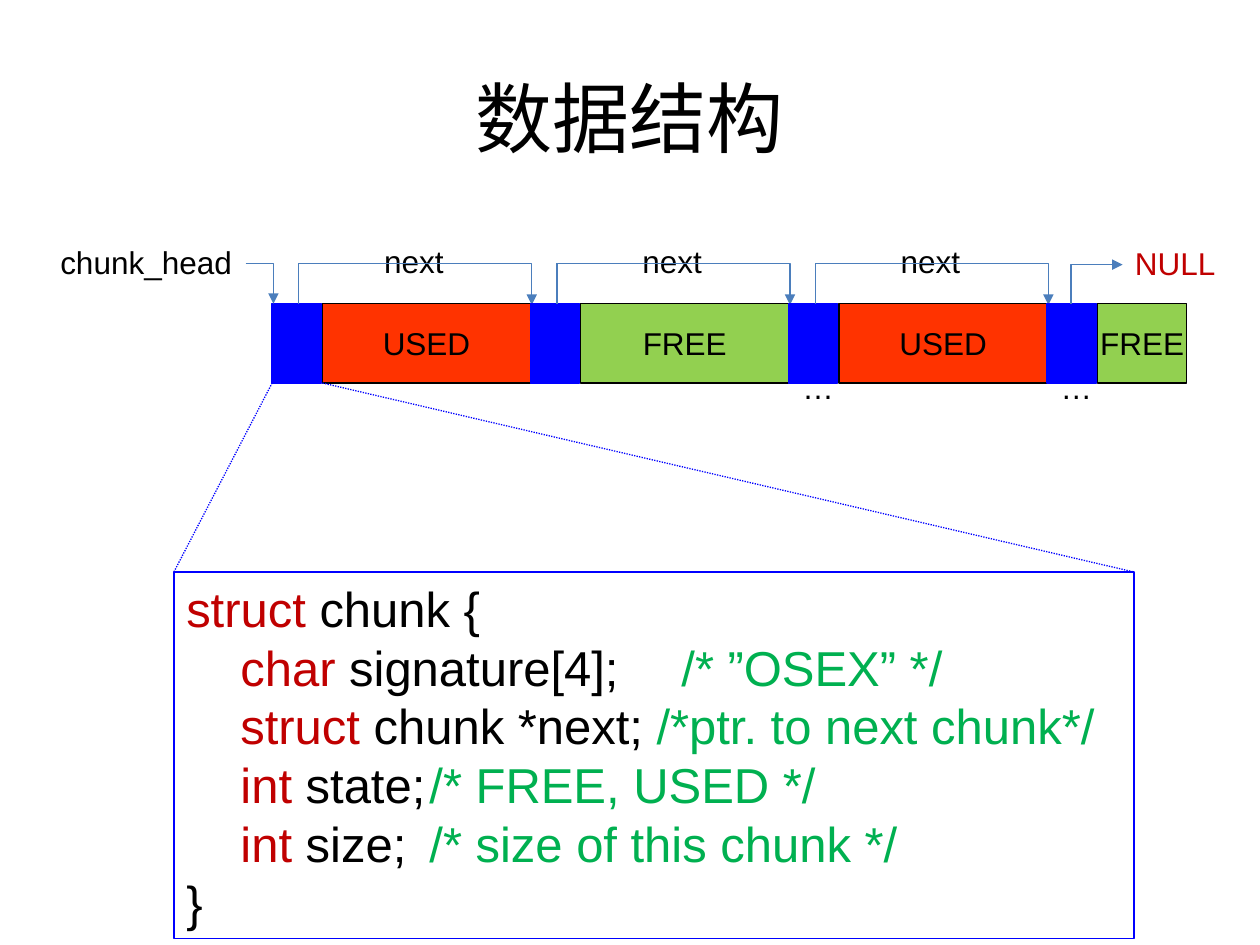
import pptx
import pptx.util
import pptx.dml.color
import pptx.enum.shapes
import pptx.enum.text
import pptx.enum.dml
import pptx.oxml.ns
import lxml.etree

RGB = pptx.dml.color.RGBColor
BLACK, WHITE = RGB(0, 0, 0), RGB(255, 255, 255)
BLUE, STEEL = RGB(0, 0, 255), RGB(0x4B, 0x7E, 0xBC)
ORANGE, LIME = RGB(0xFF, 0x33, 0), RGB(0x92, 0xD0, 0x50)
RED, GREEN = RGB(0xC0, 0, 0), RGB(0, 0xB0, 0x50)
FILLS = {"USED": ORANGE, "FREE": LIME}
CHUNKS = [("USED", 1.65), ("FREE", 1.65), ("USED", 1.65), ("FREE", 0.71)]
HEADER, PITCH = 0.39, 2.05
ALIGN = pptx.enum.text.PP_ALIGN
ANCHOR = pptx.enum.text.MSO_ANCHOR
LINK = pptx.enum.shapes.MSO_CONNECTOR
CODE = [
    (0, [("struct ", RED), ("chunk {", BLACK)]),
    (0.43, [("char", RED), (" signature[4];\t", BLACK), ("/* ”OSEX” */", GREEN)]),
    (0.43, [("struct ", RED), ("chunk *next; ", BLACK), ("/*ptr. to next chunk*/", GREEN)]),
    (0.43, [("int ", RED), ("state;\t", BLACK), ("/* FREE, USED */", GREEN)]),
    (0.43, [("int ", RED), ("size;\t", BLACK), ("/* size of this chunk */", GREEN)]),
    (0, [("}", BLACK)]),
]
COMMENT_STOPS = {1: 3.64, 3: 3.62, 4: 3.69}


def inches(*values):
    """Turn numbers into slide lengths."""
    return [pptx.util.Inches(v) for v in values]


def sub(parent, tag, **attrs):
    """Append a drawing element with its attributes."""
    return lxml.etree.SubElement(parent, pptx.oxml.ns.qn(tag), attrs)


def add_run(p, text, size=18, color=BLACK, font="Arial"):
    """Add a formatted run to a paragraph."""
    r = p.add_run()
    r.text = text
    r.font.size = pptx.util.Pt(size)
    r.font.name = font
    r.font.color.rgb = color


def write(sp, text, align=ALIGN.LEFT, anchor=ANCHOR.TOP, wrap=False, **fmt):
    """Write one paragraph into a shape."""
    tf = sp.text_frame
    tf.word_wrap = wrap
    tf.vertical_anchor = anchor
    p = tf.paragraphs[0]
    p.alignment = align
    add_run(p, text, **fmt)


def add_label(s, text, box, **fmt):
    """Place a text box."""
    write(s.shapes.add_textbox(*inches(*box)), text, **fmt)


def add_box(s, box, fill=None, line=BLACK):
    """Draw an outlined rectangle, filled when a colour is given."""
    sp = s.shapes.add_shape(pptx.enum.shapes.MSO_SHAPE.RECTANGLE, *inches(*box))
    sp.shadow.inherit = False
    if fill is None:
        sp.fill.background()
    else:
        sp.fill.solid()
        sp.fill.fore_color.rgb = fill
    sp.line.color.rgb = line
    sp.line.width = pptx.util.Pt(0.75)
    return sp


def add_link(s, start, end, color=STEEL, bent=False, arrow=None, dotted=False):
    """Connect two points; a bent link runs across, then vertically."""
    c = s.shapes.add_connector(LINK.ELBOW if bent else LINK.STRAIGHT, *inches(*start, *end))
    c.line.color.rgb = color
    c.line.width = pptx.util.Pt(0.75)
    if dotted:
        c.line.dash_style = pptx.enum.dml.MSO_LINE.ROUND_DOT
    pr = c._element.spPr
    if bent:
        pr.find(pptx.oxml.ns.qn("a:prstGeom")).set("prst", "bentConnector2")
    if arrow:
        sub(c.line._get_or_add_ln(), arrow, type="triangle")
    sub(pr, "a:effectLst")


def add_chunks(s, x, y, h):
    """Draw the chunk row with its header links, from its top left corner."""
    top = y - 0.32
    for i, (state, width) in enumerate(CHUNKS):
        left = x + i * PITCH
        add_box(s, (left, y, HEADER, h), BLUE, BLUE)
        sp = add_box(s, (left + HEADER + 0.01, y, width, h), FILLS[state])
        write(sp, state, align=ALIGN.CENTER, anchor=ANCHOR.MIDDLE)
        if i < len(CHUNKS) - 1:
            mid = left + 0.21
            add_label(s, "next", (left + 0.79, top - 0.22, 0.67, 0.4))
            add_link(s, (mid, y), (mid, top))
            add_link(s, (mid, top), (left + PITCH + 0.01, y + 0.01), bent=True, arrow="a:tailEnd")
        if i >= 2:
            add_label(s, "…", (left + 0.01, y + 0.46, 0.45, 0.4))
    add_label(s, "chunk_head", (x - 1.78, top - 0.21, 1.58, 0.4))
    add_link(s, (x - 0.21, top), (x + 0.01, y), bent=True, arrow="a:tailEnd")
    add_label(s, "NULL", (left + 0.6, top - 0.2, 0.84, 0.4), color=RED)
    add_link(s, (left + 0.6, top + 0.01), (left + 0.19, y), bent=True, arrow="a:headEnd")


def add_code(s, x, y, w, h):
    """Write the struct definition in its frame."""
    tf = add_box(s, (x, y, w, h), line=BLUE).text_frame
    tf.word_wrap = False
    tf.vertical_anchor = ANCHOR.TOP
    for i, (indent, parts) in enumerate(CODE):
        p = tf.paragraphs[0] if i == 0 else tf.add_paragraph()
        p.alignment = ALIGN.LEFT
        ppr = p._p.get_or_add_pPr()
        ppr.set("marL", str(pptx.util.Inches(indent)))
        ppr.set("indent", "0")
        if i in COMMENT_STOPS:
            stops = sub(ppr, "a:tabLst")
            sub(stops, "a:tab", pos=str(pptx.util.Inches(COMMENT_STOPS[i])), algn="l")
        for text, color in parts:
            add_run(p, text, size=28, color=color)


def build():
    """Build the slide and save it."""
    prs = pptx.Presentation()
    prs.slide_width, prs.slide_height = inches(10, 7.5)
    s = prs.slides.add_slide(prs.slide_layouts[6])
    s.background.fill.solid()
    s.background.fill.fore_color.rgb = WHITE
    add_label(s, "数据结构", (0.5, 0.3, 9, 1.25), align=ALIGN.CENTER, anchor=ANCHOR.MIDDLE,
              wrap=True, size=44, font="Calibri")
    x, y, h = 2.16, 2.41, 0.63
    code = (1.38, 4.54, 7.62, 2.91)
    add_chunks(s, x, y, h)
    add_code(s, *code)
    for near, far in ((x, code[0]), (x + HEADER + 0.01, code[0] + code[2])):
        add_link(s, (near, y + h), (far, code[1]), color=BLUE, dotted=True)
    prs.save("out.pptx")


build()
